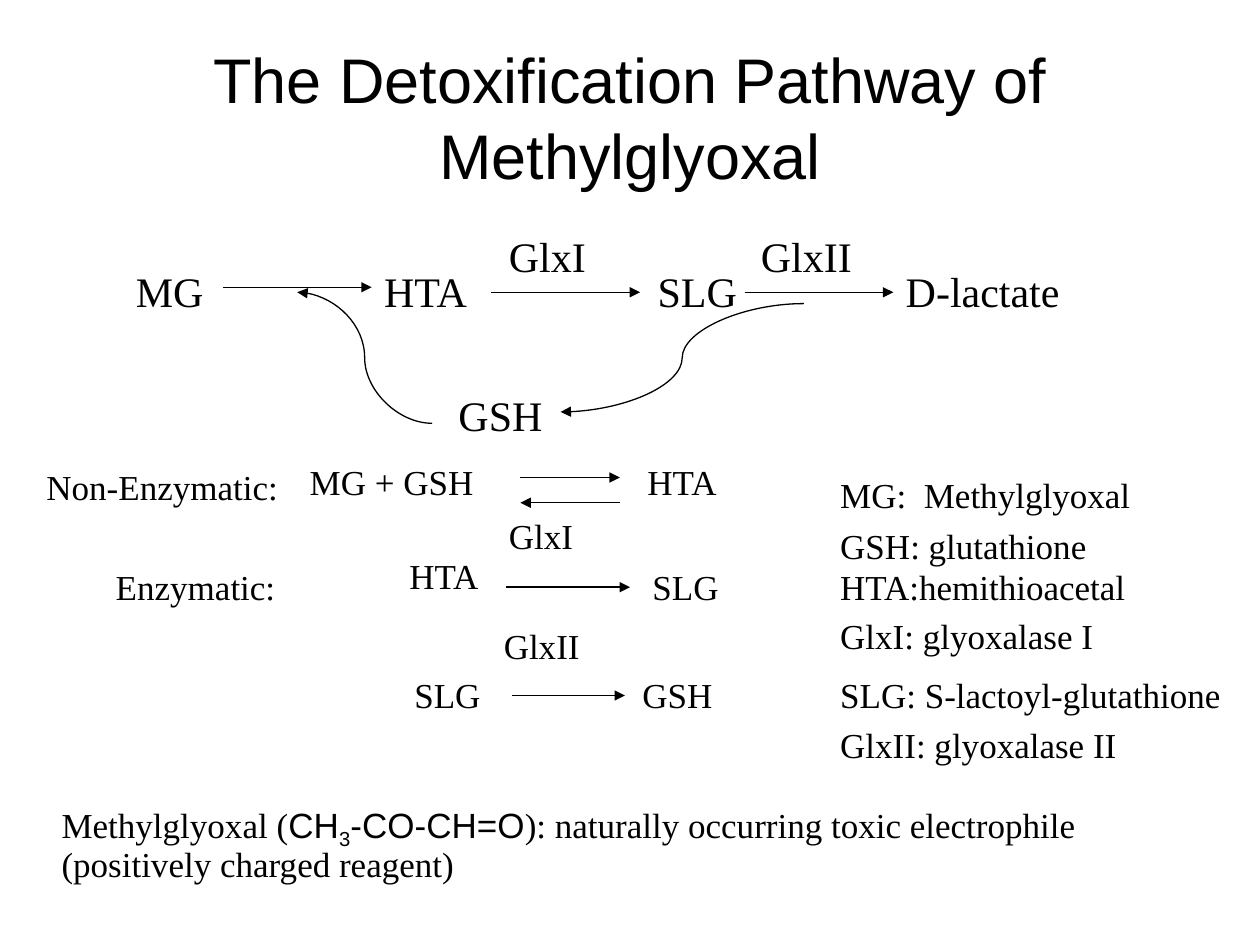
from dataclasses import dataclass

from lxml.etree import SubElement
from pptx import Presentation
from pptx.dml.color import RGBColor
from pptx.enum.shapes import MSO_CONNECTOR as Link
from pptx.enum.text import MSO_ANCHOR as Anchor, MSO_AUTO_SIZE as AutoSize, PP_ALIGN as Align
from pptx.oxml.ns import qn
from pptx.util import Inches, Pt


@dataclass(frozen=True)
class Theme:
    ink: RGBColor = RGBColor(0, 0, 0)
    sans: str = "Arial"
    serif: str = "Times New Roman"
    title: int = 36
    pathway: int = 24
    body: int = 20
    line: float = 0.75


THEME = Theme()
LABEL_HEIGHT = 0.47


def write(frame, parts, size=THEME.body, font=THEME.serif, align=Align.LEFT,
          spacing=0.95, anchor=Anchor.TOP, grow=False):
    """Fill a frame with one paragraph; parts is a string or (text, font, baseline) runs."""
    frame.word_wrap = True
    frame.auto_size = AutoSize.SHAPE_TO_FIT_TEXT if grow else AutoSize.NONE
    frame.vertical_anchor = anchor
    paragraph = frame.paragraphs[0]
    paragraph.alignment = align
    paragraph.line_spacing = spacing
    for text, face, baseline in [(parts, font, 0)] if isinstance(parts, str) else parts:
        run = paragraph.add_run()
        run.text = text
        run.font.name = face
        run.font.size = Pt(size)
        run.font.color.rgb = THEME.ink
        if baseline:
            run.font._element.set("baseline", str(baseline * 1000))


def label(shapes, parts, x, y, width, height=LABEL_HEIGHT, **text_format):
    box = shapes.add_textbox(Inches(x), Inches(y), Inches(width), Inches(height))
    write(box.text_frame, parts, **text_format)


def arrow(shapes, start, end, kind=Link.STRAIGHT):
    link = shapes.add_connector(kind, *(Inches(v) for v in (*start, *end)))
    link.line.color.rgb = THEME.ink
    link.line.width = Pt(THEME.line)
    properties = link._element.spPr
    SubElement(properties.find(qn("a:ln")), qn("a:tailEnd"), type="triangle")
    SubElement(properties, qn("a:effectLst"))


def add_title(slide, left, top, width, height):
    title = slide.shapes.title
    title.left, title.top = Inches(left), Inches(top)
    title.width, title.height = Inches(width), Inches(height)
    write(title.text_frame, "The Detoxification Pathway of Methylglyoxal", size=THEME.title,
          font=THEME.sans, align=Align.CENTER, spacing=1.0, anchor=Anchor.MIDDLE)


def add_pathway(shapes, left, top):
    # Metabolites and the enzymes above the arrows
    for text, x, y, width in [
        ("MG", 0, 0.28, 1.38), ("HTA", 1.97, 0.28, 1.18),
        ("SLG", 4.14, 0.28, 0.98), ("D-lactate", 6.11, 0.28, 1.57),
        ("GlxI", 2.96, 0, 0.98), ("GlxII", 4.96, 0, 0.98), ("GSH", 2.56, 1.26, 0.98),
    ]:
        label(shapes, text, left + x, top + y, width, size=THEME.pathway)

    # Forward steps
    for x, y in [(0.79, 0.47), (2.92, 0.51), (4.93, 0.51)]:
        arrow(shapes, (left + x, top + y), (left + x + 1.18, top + y))

    # Glutathione released and used again
    for x1, y1, x2, y2 in [(5.4, 0.6, 3.47, 1.46), (2.45, 1.55, 1.38, 0.51)]:
        arrow(shapes, (left + x1, top + y1), (left + x2, top + y2), Link.CURVE)


def add_reactions(shapes, left, top):
    label(shapes, "Non-Enzymatic:", left, top + 0.04, 2.4)
    label(shapes, "Enzymatic:", left + 0.55, top + 0.83, 1.72)

    # Reversible reaction, kept together as a group
    reversible = shapes.add_group_shape().shapes
    label(reversible, "MG + GSH", left + 2.09, top, 1.97)
    label(reversible, "HTA", left + 4.77, top, 0.88)
    tail, head = left + 3.86, left + 4.65
    arrow(reversible, (tail, top + 0.16), (head, top + 0.16))
    arrow(reversible, (head, top + 0.36), (tail, top + 0.36))

    # Enzyme reactions: substrate, enzyme, product and arrow ends
    for substrate, enzyme, product, start, end, y in [
        (("HTA", 2.88, 0.75), ("GlxI", 3.67, 0.43), ("SLG", 4.81, 0.83), 3.75, 4.73, 1.03),
        (("SLG", 2.92, 1.69), ("GlxII", 3.63, 1.3), ("GSH", 4.73, 1.69), 3.79, 4.69, 1.89),
    ]:
        for text, text_x, text_y in (substrate, enzyme, product):
            label(shapes, text, left + text_x, top + text_y, 1)
        arrow(shapes, (left + start, top + y), (left + end, top + y))


def add_abbreviations(shapes, left, top, width):
    for text, y in [
        ("MG:  Methylglyoxal", 0), ("GSH: glutathione", 0.41),
        ("HTA:hemithioacetal", 0.73), ("GlxI: glyoxalase I", 1.12),
        ("SLG: S-lactoyl-glutathione", 1.59), ("GlxII: glyoxalase II", 1.99),
    ]:
        label(shapes, text, left, top + y, width, 0.42, grow=True)


def add_definition(shapes, left, top, width, height):
    label(shapes, [
        ("Methylglyoxal (", THEME.serif, 0),
        ("CH", THEME.sans, 0),
        ("3", THEME.sans, -25),
        ("-CO-CH=O", THEME.sans, 0),
        ("): naturally occurring toxic electrophile (positively charged reagent)",
         THEME.serif, 0),
    ], left, top, width, height, spacing=0.9, grow=True)


def main():
    deck = Presentation()
    deck.slide_width, deck.slide_height = Inches(10), Inches(7.5)
    slide = deck.slides.add_slide(deck.slide_layouts.get_by_name("Title Only"))
    add_title(slide, 0.5, 0.3, 9, 1.25)
    add_pathway(slide.shapes, 0.98, 1.81)
    add_reactions(slide.shapes, 0.27, 3.63)
    add_abbreviations(slide.shapes, 6.57, 3.73, 3.23)
    add_definition(slide.shapes, 0.39, 6.33, 9.1, 0.71)
    deck.save("out.pptx")


if __name__ == "__main__":
    main()
